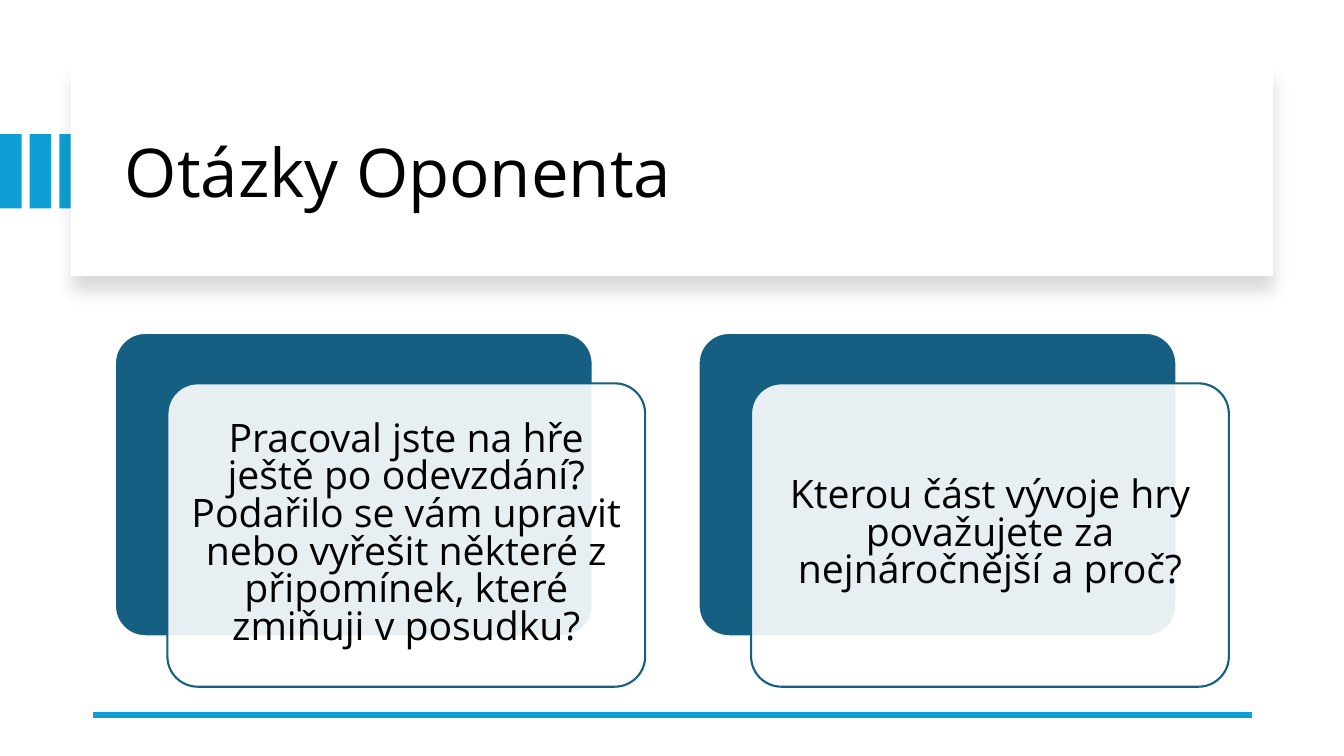
from lxml import etree
from pptx import Presentation
from pptx.dml.color import RGBColor
from pptx.enum.shapes import MSO_CONNECTOR, MSO_SHAPE
from pptx.enum.text import MSO_ANCHOR, MSO_AUTO_SIZE, PP_ALIGN
from pptx.oxml.ns import qn
from pptx.util import Pt

RECT, ROUNDED = MSO_SHAPE.RECTANGLE, MSO_SHAPE.ROUNDED_RECTANGLE
STRAIGHT = MSO_CONNECTOR.STRAIGHT
LEFT, CENTER = PP_ALIGN.LEFT, PP_ALIGN.CENTER
MIDDLE = MSO_ANCHOR.MIDDLE
NO_AUTOFIT = MSO_AUTO_SIZE.NONE

FONT = "Open Sans"
BLACK = RGBColor(0x00, 0x00, 0x00)
WHITE = RGBColor(0xFF, 0xFF, 0xFF)
ACCENT = RGBColor(0x0F, 0x9E, 0xD5)
TEAL = RGBColor(0x15, 0x60, 0x82)

QUESTIONS = [
    "Pracoval jste na hře ještě po odevzdání? Podařilo se vám upravit "
    "nebo vyřešit některé z připomínek, které zmiňuji v posudku?",
    "Kterou část vývoje hry považujete za nejnáročnější a proč?",
]


def set_text(sp, text, size, align=LEFT, spacing=0.9, inset=7.2):
    tf = sp.text_frame
    tf.word_wrap = True
    tf.auto_size = NO_AUTOFIT
    tf.vertical_anchor = MIDDLE
    tf.margin_left = tf.margin_right = Pt(inset)
    tf.margin_top = tf.margin_bottom = Pt(inset)
    p = tf.paragraphs[0]
    p.alignment = align
    p.line_spacing = spacing
    r = p.add_run()
    r.text = text
    r.font.name = FONT
    r.font.size = Pt(size)
    r.font.color.rgb = BLACK


def add_box(s, kind, x, y, w, h, fill, line=None):
    sp = s.shapes.add_shape(kind, Pt(x), Pt(y), Pt(w), Pt(h))
    sp.shadow.inherit = False
    sp.fill.solid()
    sp.fill.fore_color.rgb = fill
    if line is None:
        sp.line.fill.background()
    else:
        sp.line.color.rgb = line
        sp.line.width = Pt(1.5)
    if kind == ROUNDED:
        sp.adjustments[0] = 0.1
    return sp


def set_alpha(color, percent):
    etree.SubElement(color, qn("a:alpha"), val=str(percent * 1000))


def add_shadow(sp, blur, distance, opacity):
    """Cast a soft black shadow straight down."""
    effects = sp._element.spPr.find(qn("a:effectLst"))
    shadow = etree.SubElement(
        effects, qn("a:outerShdw"), blurRad=str(Pt(blur)),
        dist=str(Pt(distance)), dir="5400000", algn="t", rotWithShape="0")
    set_alpha(etree.SubElement(shadow, qn("a:srgbClr"), val=str(BLACK)), opacity)


def add_rule(s, x1, x2, y):
    line = s.shapes.add_connector(STRAIGHT, Pt(x1), Pt(y), Pt(x2), Pt(y))
    line.line.color.rgb = ACCENT
    line.line.width = Pt(4.5)
    etree.SubElement(line._element.spPr, qn("a:effectLst"))


def add_header(s, text):
    for i in range(3):
        add_box(s, RECT, i * 21.2, 95.8, 15.4, 53.1, ACCENT)
    panel = add_box(s, RECT, 50.4, 48.2, 859, 149, WHITE)
    add_shadow(panel, blur=11, distance=10, opacity=15)

    title = s.shapes.title
    title.left, title.top = Pt(82), Pt(64)
    title.width, title.height = Pt(801.4), Pt(122.4)
    set_text(title, text, 48)
    s.shapes._spTree.append(title._element)  # in front of the panel


def add_question(s, x, y, text):
    """Draw a solid card with a translucent one, holding the text, over it."""
    w, h = 341.3, 216.7
    add_box(s, ROUNDED, x, y, w, h, TEAL, WHITE)
    card = add_box(s, ROUNDED, x + 37.5, y + 36, w, h, WHITE, TEAL)
    set_alpha(card._element.spPr.find(qn("a:solidFill"))[0], 90)
    set_text(card, text, 28, align=CENTER, spacing=0.8, inset=8.64)


def main():
    prs = Presentation()
    prs.slide_width, prs.slide_height = Pt(960), Pt(540)
    s = prs.slides.add_slide(prs.slide_layouts[5])
    add_header(s, "Otázky Oponenta")
    add_rule(s, 894.2, 66.2, 510.5)
    for i, question in enumerate(QUESTIONS):
        add_question(s, 82.1 + i * 416.9, 237.8, question)
    prs.save("out.pptx")


if __name__ == "__main__":
    main()
